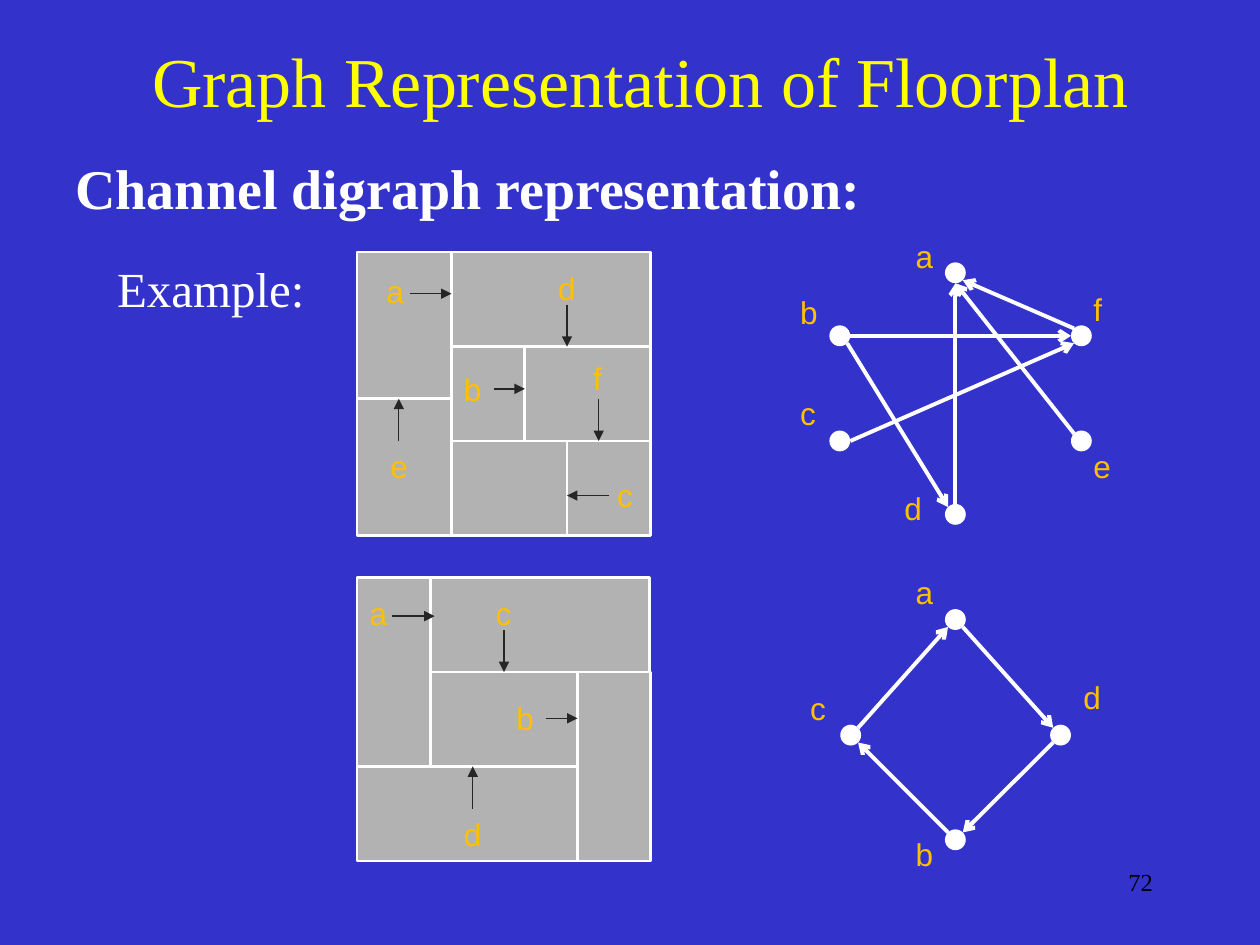
"""Build the slide on the channel digraph representation of floorplans."""
import math

import lxml.etree
import pptx
import pptx.dml.color
import pptx.enum.shapes
import pptx.enum.text
import pptx.oxml.ns
import pptx.util

Cm = pptx.util.Cm
ALIGN = pptx.enum.text.PP_ALIGN
ANCHOR = pptx.enum.text.MSO_ANCHOR
SHAPE = pptx.enum.shapes.MSO_SHAPE

SERIF, SANS = "Times New Roman", "Arial"
BLUE, YELLOW, WHITE, BLACK = "3333CC", "FFFF00", "FFFFFF", "000000"
GREY, AMBER, CHARCOAL = "B2B2B2", "FFC000", "262626"
LABEL_SIZE = (1.07, 1.02)
NODE_RADIUS = 0.21
COMPASS = ["E", "SE", "S", "SW", "W", "NW", "N", "NE"]

TITLE = "Graph Representation of Floorplan"
TITLE_BOX = (2.54, 0.43, 20.75, 2.34)
TEXTS = [
    ("Channel digraph representation:", (1.27, 2.97, 22.86, 1.9), 32, True, ALIGN.LEFT),
    ("Example:", (2.11, 5.08, 4.45, 1.7), 28, False, ALIGN.LEFT),
]
PAGE_NUMBER = ("72", (18.21, 17.35, 5.28, 1.27), 14, False, ALIGN.RIGHT)

FLOORPLANS = [
    {
        "rooms": [  # left, top, right, bottom
            (7.2, 5.08, 9.1, 8.04), (9.1, 5.08, 13.12, 6.99),
            (9.1, 6.99, 10.58, 8.89), (7.2, 8.04, 9.1, 10.8),
            (9.1, 8.89, 11.43, 10.8), (10.58, 6.99, 13.12, 8.89),
            (11.43, 8.89, 13.12, 10.8),
        ],
        "channels": {
            "a": ((7.54, 5.36), (8.26, 5.92), (9.1, 5.92)),
            "b": ((9.1, 7.34), (9.95, 7.84), (10.58, 7.84)),
            "c": ((12.19, 9.47), (12.28, 9.99), (11.43, 9.99)),
            "d": ((11, 5.29), (11.43, 6.14), (11.43, 6.99)),
            "e": ((7.62, 8.89), (8.04, 8.89), (8.04, 8.04)),
            "f": ((11.71, 7.11), (12.07, 8.04), (12.07, 8.89)),
        },
    },
    {
        "rooms": [
            (7.2, 11.64, 8.68, 15.45), (8.68, 11.64, 13.1, 13.55),
            (8.68, 13.55, 11.64, 15.45), (11.64, 13.55, 13.12, 17.36),
            (7.2, 15.45, 11.64, 17.36),
        ],
        "channels": {
            "a": ((7.2, 11.85), (7.9, 12.42), (8.76, 12.42)),
            "b": ((10.16, 13.97), (11, 14.48), (11.64, 14.48)),
            "c": ((9.74, 11.85), (10.16, 12.7), (10.16, 13.55)),
            "d": ((9.1, 16.3), (9.53, 16.3), (9.53, 15.45)),
        },
    },
]

DIGRAPHS = [
    {
        "nodes": {
            "a": ((19.26, 5.5), (18.21, 4.65)), "b": ((16.93, 6.77), (15.88, 5.79)),
            "c": ((16.93, 8.89), (15.88, 7.82)), "d": ((19.26, 10.37), (17.98, 9.73)),
            "e": ((21.8, 8.89), (21.79, 8.89)), "f": ((21.8, 6.77), (21.79, 5.72)),
        },
        "edges": [
            ("d", "N", "a", "S"), ("e", "NW", "a", "S"), ("b", "SE", "d", "NW"),
            ("b", "E", "f", "W"), ("c", "E", "f", "SW"), ("f", "NW", "a", "SE"),
        ],
    },
    {
        "nodes": {
            "a": ((19.26, 12.49), (18.21, 11.43)), "b": ((19.26, 16.93), (18.21, 16.71)),
            "c": ((17.15, 14.82), (16.08, 13.77)), "d": ((21.38, 14.82), (21.59, 13.54)),
        },
        "edges": [
            ("a", "SE", "d", "NW"), ("d", "SW", "b", "NE"),
            ("b", "NW", "c", "SE"), ("c", "NE", "a", "SW"),
        ],
    },
]


def rgb(code):
    return pptx.dml.color.RGBColor.from_string(code)


def write(frame, text, size, font, color, bold=False, align=ALIGN.LEFT, anchor=ANCHOR.TOP):
    frame.text = text
    frame.word_wrap = True
    frame.vertical_anchor = anchor
    paragraph = frame.paragraphs[0]
    paragraph.alignment = align
    style = paragraph.runs[0].font
    style.size, style.name, style.bold = pptx.util.Pt(size), font, bold
    style.color.rgb = rgb(color)


def add_text(slide, text, box, size, bold, align, font=SERIF, color=WHITE):
    frame = slide.shapes.add_textbox(*map(Cm, box)).text_frame
    write(frame, text, size, font, color, bold, align)


def add_label(slide, letter, corner):
    add_text(slide, letter, corner + LABEL_SIZE, 18, False, ALIGN.LEFT, SANS, AMBER)


def add_solid(shapes, kind, left, top, width, height, fill, outline=None):
    solid = shapes.add_shape(kind, *map(Cm, (left, top, width, height)))
    solid.shadow.inherit = False
    solid.fill.solid()
    solid.fill.fore_color.rgb = rgb(fill)
    if outline:
        solid.line.color.rgb = rgb(outline)
        solid.line.width = pptx.util.Pt(1.5)
    else:
        solid.line.fill.background()


def add_arrow(slide, start, end, color, width, head):
    straight = pptx.enum.shapes.MSO_CONNECTOR.STRAIGHT
    arrow = slide.shapes.add_connector(straight, *map(Cm, start + end))
    arrow.line.color.rgb = rgb(color)
    arrow.line.width = pptx.util.Pt(width)
    properties = arrow.element.spPr
    qn = pptx.oxml.ns.qn
    lxml.etree.SubElement(properties.find(qn("a:ln")), qn("a:tailEnd"), type=head)
    lxml.etree.SubElement(properties, qn("a:effectLst"))


def rim_point(center, side):
    angle = COMPASS.index(side) * math.pi / 4
    return (center[0] + NODE_RADIUS * math.cos(angle),
            center[1] + NODE_RADIUS * math.sin(angle))


def draw_floorplan(slide, rooms, channels):
    plan = slide.shapes.add_group_shape()
    for left, top, right, bottom in rooms:
        add_solid(plan.shapes, SHAPE.RECTANGLE, left, top, right - left, bottom - top,
                  GREY, WHITE)
    for letter, (corner, start, end) in channels.items():
        add_label(slide, letter, corner)
        add_arrow(slide, start, end, CHARCOAL, 0.75, "triangle")


def draw_digraph(slide, nodes, edges):
    for letter, ((x, y), corner) in nodes.items():
        add_solid(slide.shapes, SHAPE.OVAL, x - NODE_RADIUS, y - NODE_RADIUS,
                  2 * NODE_RADIUS, 2 * NODE_RADIUS, WHITE)
        add_label(slide, letter, corner)
    for source, exit_side, target, entry_side in edges:
        add_arrow(slide, rim_point(nodes[source][0], exit_side),
                  rim_point(nodes[target][0], entry_side), WHITE, 2.25, "arrow")


def main():
    deck = pptx.Presentation()
    deck.slide_width, deck.slide_height = Cm(25.4), Cm(19.05)
    slide = deck.slides.add_slide(deck.slide_layouts[5])
    slide.background.fill.solid()
    slide.background.fill.fore_color.rgb = rgb(BLUE)

    title = slide.shapes.title
    title.left, title.top, title.width, title.height = map(Cm, TITLE_BOX)
    write(title.text_frame, TITLE, 40, SERIF, YELLOW, False, ALIGN.CENTER, ANCHOR.MIDDLE)

    for entry in TEXTS:
        add_text(slide, *entry)
    for floorplan in FLOORPLANS:
        draw_floorplan(slide, **floorplan)
    for digraph in DIGRAPHS:
        draw_digraph(slide, **digraph)
    add_text(slide, *PAGE_NUMBER, color=BLACK)
    deck.save("out.pptx")


if __name__ == "__main__":
    main()
